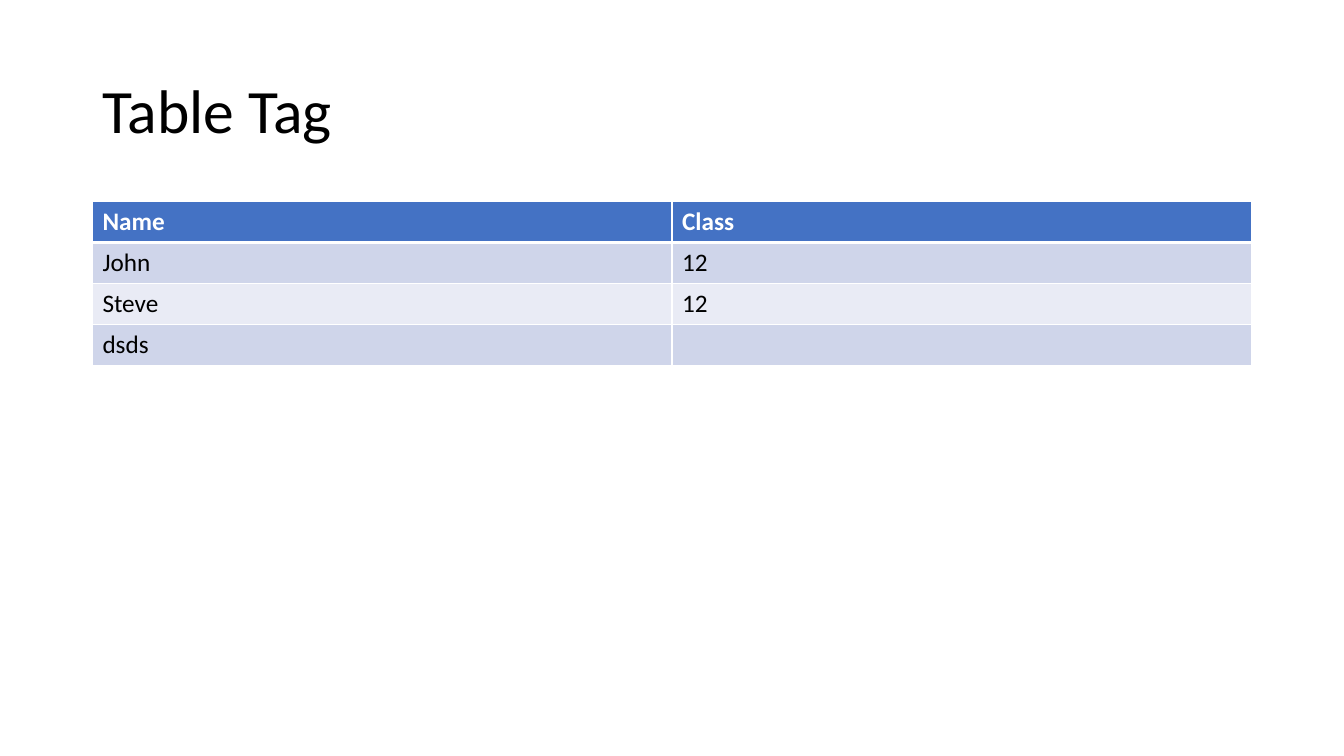
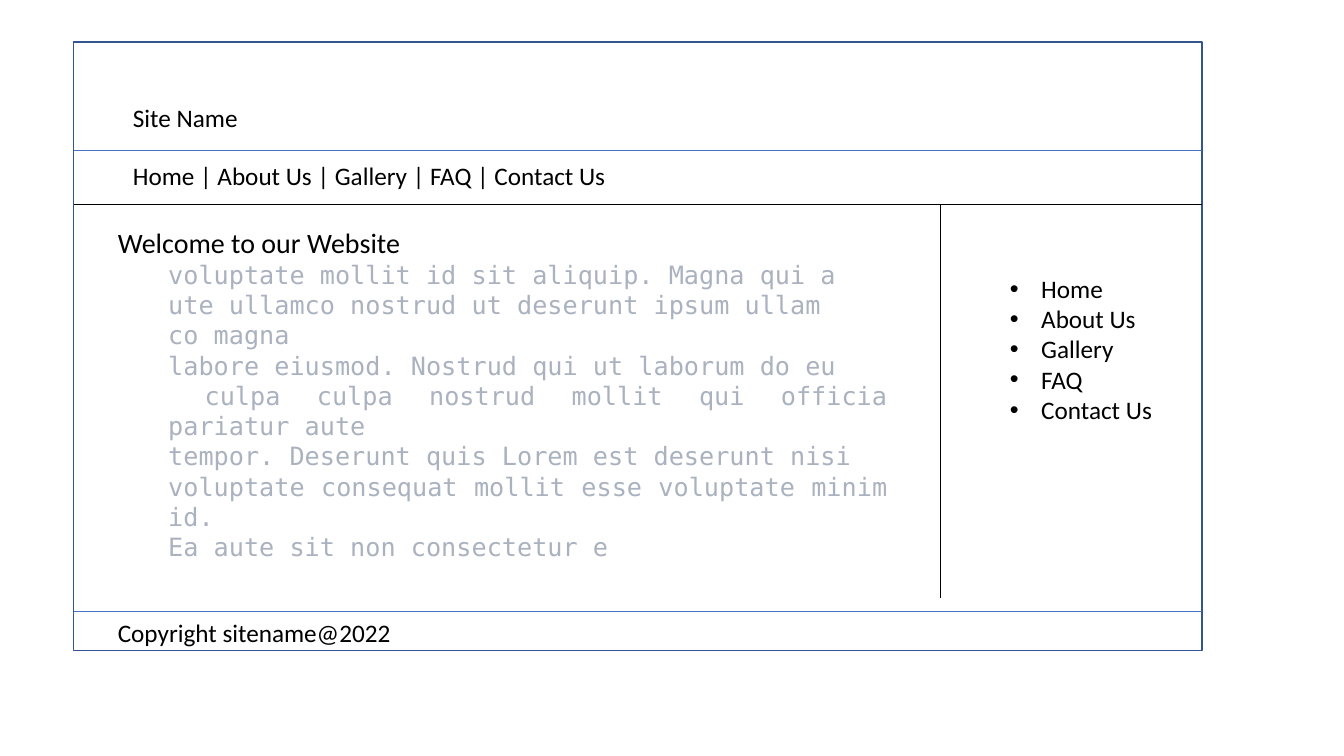
"""Build a table slide and a web page wireframe slide."""
from lxml import etree
from pptx import Presentation
from pptx import util as u
from pptx.dml.color import RGBColor
from pptx.enum import shapes, text
from pptx.oxml.ns import qn

BLACK = RGBColor(0x00, 0x00, 0x00)
WHITE = RGBColor(0xFF, 0xFF, 0xFF)
BLUE = RGBColor(0x44, 0x72, 0xC4)
DARK_BLUE = RGBColor(0x32, 0x54, 0x91)
GREY = RGBColor(0xAB, 0xB2, 0xBF)
BANDS = (RGBColor(0xCF, 0xD5, 0xEA), RGBColor(0xE9, 0xEB, 0xF5))
BODY_FONT = "Calibri"
CODE_FONT = "DejaVu Sans Mono"

TITLE_AREA = (2.33, 1.01, 29.21, 3.68)
PEOPLE = (("Name", "Class"), ("John", "12"), ("Steve", "12"), ("dsds", ""))
TABLE_TOP = 5.08
ROW_HEIGHT = 1.03

FRAME_LEFT, FRAME_TOP, FRAME_RIGHT, FRAME_BOTTOM = 1.86, 1.06, 30.29, 16.4
HEADER_Y, MENU_Y, FOOTER_Y = 3.78, 5.16, 15.4
SIDEBAR_X, SIDEBAR_BOTTOM = 23.7, 15.06
MENU = ("Home", "About Us", "Gallery", "FAQ", "Contact Us")
WELCOME = (
    "voluptate mollit id sit aliquip. Magna qui a",
    "ute ullamco nostrud ut deserunt ipsum ullam",
    "co magna",
    "labore eiusmod. Nostrud qui ut laborum do eu",
    " culpa culpa nostrud mollit qui officia pariatur aute",
    "tempor. Deserunt quis Lorem est deserunt nisi",
    "voluptate consequat mollit esse voluptate minim id.",
    "Ea aute sit non consectetur e",
)


def lengths(values):
    return [u.Cm(value) for value in values]


def add_span(para, wording, size=18, color=BLACK, font=BODY_FONT, bold=False):
    span = para.add_run()
    span.text = wording
    span.font.size = u.Pt(size)
    span.font.name = font
    span.font.bold = bold
    span.font.color.rgb = color


def add_title(page, wording):
    title = page.shapes.title
    title.left, title.top, title.width, title.height = lengths(TITLE_AREA)
    title.text_frame.vertical_anchor = text.MSO_ANCHOR.MIDDLE
    para = title.text_frame.paragraphs[0]
    para.alignment = text.PP_ALIGN.LEFT
    para.line_spacing = 0.9
    add_span(para, wording, size=44)


def add_border(cell, side, points):
    properties = cell._tc.get_or_add_tcPr()
    line = etree.SubElement(properties, qn(f"a:ln{side}"), w=str(u.Pt(points)))
    fill = etree.SubElement(line, qn("a:solidFill"))
    etree.SubElement(fill, qn("a:srgbClr"), val=str(WHITE))


def format_cell(cell, wording, row):
    header = row == 0
    widths = {"L": 1, "R": 1, "T": 3 if row == 1 else 1, "B": 3 if header else 1}
    for side, points in widths.items():
        add_border(cell, side, points)
    cell.fill.solid()
    cell.fill.fore_color.rgb = BLUE if header else BANDS[(row - 1) % 2]
    if wording:
        add_span(cell.text_frame.paragraphs[0], wording,
                 color=WHITE if header else BLACK, bold=header)


def add_people_table(page):
    area = (TITLE_AREA[0], TABLE_TOP, TITLE_AREA[2], ROW_HEIGHT * len(PEOPLE))
    table = page.shapes.add_table(len(PEOPLE), len(PEOPLE[0]), *lengths(area)).table
    for row, record in enumerate(PEOPLE):
        table.rows[row].height = u.Cm(ROW_HEIGHT)
        for column, wording in enumerate(record):
            format_cell(table.cell(row, column), wording, row)


def add_frame(group):
    area = (FRAME_LEFT, FRAME_TOP, FRAME_RIGHT - FRAME_LEFT, FRAME_BOTTOM - FRAME_TOP)
    frame = group.shapes.add_shape(shapes.MSO_SHAPE.RECTANGLE, *lengths(area))
    frame.shadow.inherit = False
    frame.fill.background()
    frame.line.color.rgb = DARK_BLUE
    frame.line.width = u.Pt(1)


def add_rule(group, ends, color):
    rule = group.shapes.add_connector(shapes.MSO_CONNECTOR.STRAIGHT, *lengths(ends))
    rule.line.color.rgb = color
    rule.line.width = u.Pt(0.5)
    etree.SubElement(rule._element.spPr, qn("a:effectLst"))


def add_box(group, area, wrap=False):
    box = group.shapes.add_textbox(*lengths(area))
    box.text_frame.word_wrap = wrap
    box.text_frame.auto_size = text.MSO_AUTO_SIZE.SHAPE_TO_FIT_TEXT
    return box.text_frame


def add_label(group, area, wording):
    add_span(add_box(group, area).paragraphs[0], wording)


def indent(para, left, first=0.0):
    properties = para._p.get_or_add_pPr()
    properties.set("marL", str(u.Cm(left)))
    properties.set("indent", str(u.Cm(first)))
    return properties


def add_welcome(group):
    box = add_box(group, (2.72, 5.56, 19.89, 11.63), wrap=True)
    add_span(box.paragraphs[0], "Welcome to our Website", size=20)
    for wording in WELCOME:
        para = box.add_paragraph()
        para.level = 1
        para.alignment = text.PP_ALIGN.JUSTIFY
        indent(para, 1.27)
        add_span(para, wording, color=GREY, font=CODE_FONT)


def add_menu_list(group):
    box = add_box(group, (25.2, 6.76, 4.14, 4.11))
    for number, wording in enumerate(MENU):
        para = box.add_paragraph() if number else box.paragraphs[0]
        properties = indent(para, 0.79, -0.79)
        etree.SubElement(properties, qn("a:buFont"), typeface="Arial")
        etree.SubElement(properties, qn("a:buChar"), char="•")
        add_span(para, wording)


def add_wireframe(page):
    group = page.shapes.add_group_shape()
    add_frame(group)
    for y, color in ((HEADER_Y, BLUE), (MENU_Y, BLACK), (FOOTER_Y, BLUE)):
        add_rule(group, (FRAME_LEFT, y, FRAME_RIGHT, y), color)
    add_rule(group, (SIDEBAR_X, MENU_Y, SIDEBAR_X, SIDEBAR_BOTTOM), BLACK)
    add_label(group, (3.1, 2.45, 3.18, 1.03), "Site Name")
    add_label(group, (3.1, 3.91, 12.55, 1.03), " | ".join(MENU))
    add_welcome(group)
    add_menu_list(group)
    add_label(group, (2.72, 15.44, 7.47, 1.03), "Copyright sitename@2022")


def main():
    deck = Presentation()
    deck.slide_width, deck.slide_height = lengths((33.87, 19.05))
    table_page = deck.slides.add_slide(deck.slide_layouts.get_by_name("Title Only"))
    add_title(table_page, "Table Tag")
    add_people_table(table_page)
    add_wireframe(deck.slides.add_slide(deck.slide_layouts.get_by_name("Blank")))
    deck.save("out.pptx")


main()
